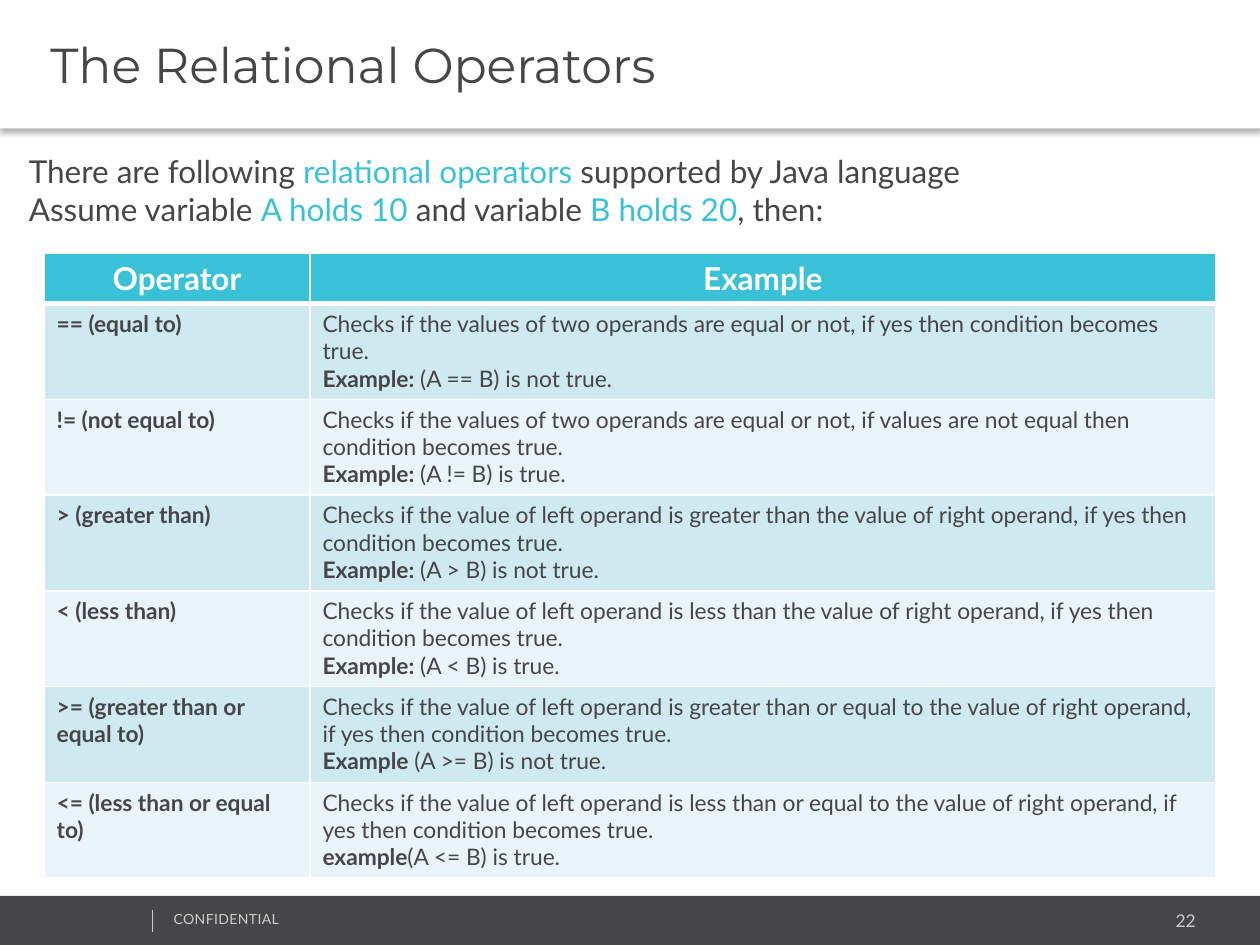
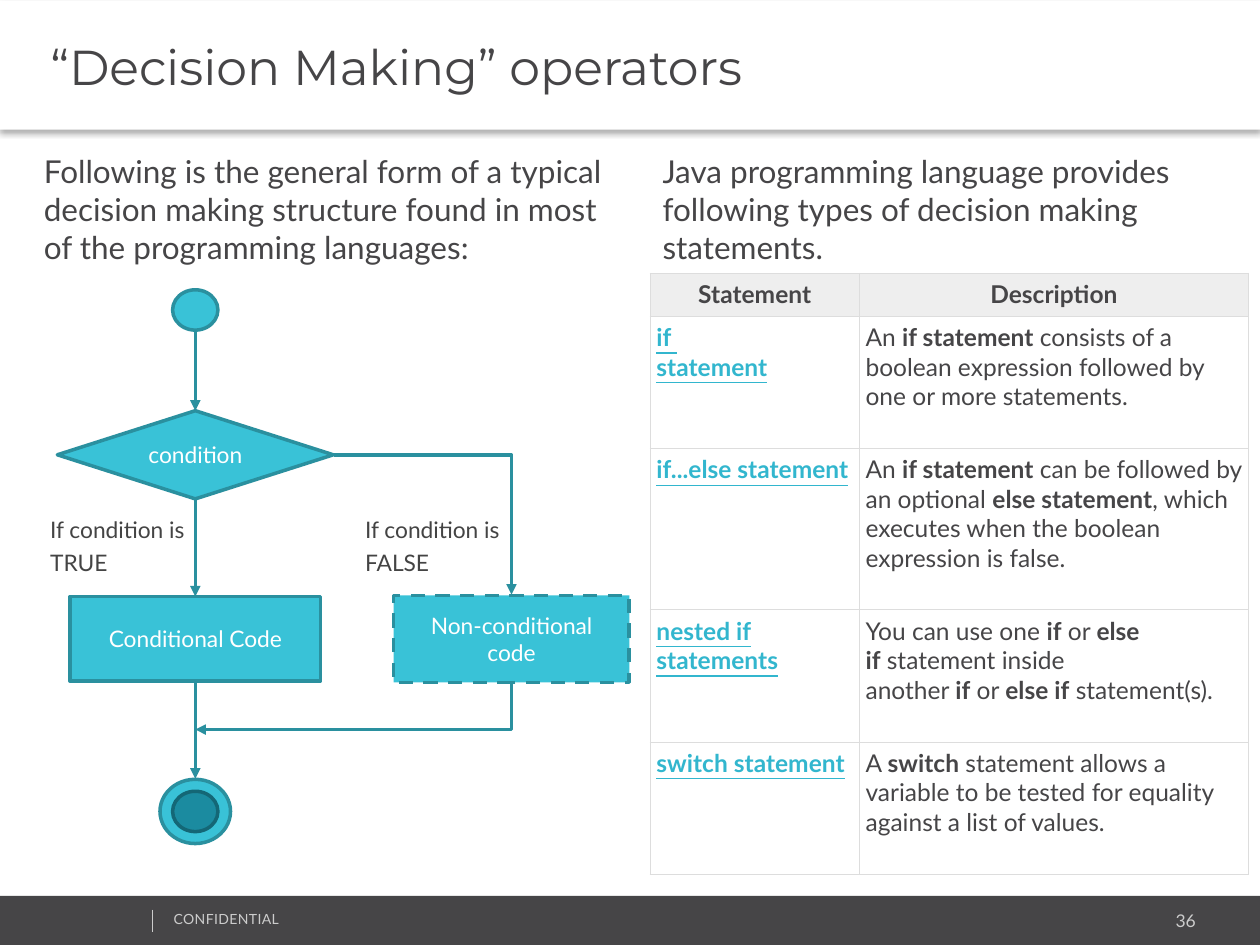
from collections import namedtuple

from lxml import etree
from pptx import Presentation
from pptx.dml.color import RGBColor
from pptx.enum import dml, shapes, text
from pptx.oxml import ns
from pptx.util import Emu, Inches, Pt

DARK = RGBColor(0x46, 0x45, 0x47)
LABEL = RGBColor(0x44, 0x44, 0x44)
WHITE = RGBColor(0xFF, 0xFF, 0xFF)
FOOTER = RGBColor(0xCC, 0xCC, 0xCC)
TEAL = RGBColor(0x39, 0xC2, 0xD7)
TEAL_EDGE = RGBColor(0x2A, 0x90, 0x9F)
TEAL_DEEP = RGBColor(0x1B, 0x8B, 0xA0)
TEAL_DEEP_EDGE = RGBColor(0x14, 0x67, 0x76)
LINK = RGBColor(0x32, 0xB6, 0xCE)
BANDS = (RGBColor(0xCE, 0xE9, 0xF0), RGBColor(0xE8, 0xF4, 0xF8))
HEAD_GREY = RGBColor(0xEE, 0xEE, 0xEE)
GRID_GREY = RGBColor(0xDD, 0xDD, 0xDD)

SHAPE = shapes.MSO_SHAPE
ALIGN = text.PP_ALIGN
ANCHOR = text.MSO_ANCHOR
NBSP = chr(160)

Box = namedtuple("Box", "left top width height")

# Cells: "*" switches marked text on and off, "~" is a no-break space.
OPERATORS = [
    ("== (equal to)",
     "Checks if the values of two operands are equal or not, if yes then condition becomes true.\n"
     "*Example:*~(A == B) is not true."),
    ("!= (not equal to)",
     "Checks if the values of two operands are equal or not, if values are not equal then "
     "condition becomes true.\n*Example:*~(A != B) is true."),
    ("> (greater than)",
     "Checks if the value of left operand is greater than the value of right operand, if yes "
     "then condition becomes true.\n*Example:*~(A > B) is not true."),
    ("< (less than)",
     "Checks if the value of left operand is less than the value of right operand, if yes then "
     "condition becomes true.\n*Example:*~(A < B) is true."),
    (">= (greater than or equal to)",
     "Checks if the value of left operand is greater than or equal to the value of right "
     "operand, if yes then condition becomes true.\n*Example*~(A >= B) is not true."),
    ("<= (less than or equal to)",
     "Checks if the value of left operand is less than or equal to the value of right operand, "
     "if yes then condition becomes true.\n*example*(A <= B) is true."),
]
STATEMENTS = [
    ("if \nstatement",
     "An~*if statement*~consists of a boolean expression followed by one or more statements."),
    ("if...else statement",
     "An~*if statement*~can be followed by an optional~*else statement*, which executes when "
     "the boolean expression is false."),
    ("nested if statements",
     "You can use one~*if*~or~*else if*~statement inside another~*if*~or~*else if*"
     "~statement(s)."),
    ("switch statement",
     "A~*switch*~statement allows a variable to be tested for equality against a list of "
     "values."),
]


def write(frame, content, size, color=DARK, font="Lato", bold=False, underline=False,
          align=ALIGN.LEFT, spacing=None, tracking=None, mark_color=None):
    """Fill a text frame; marked text is bold, or coloured if mark_color is given."""
    frame.word_wrap = True
    for number, line in enumerate(content.replace("~", NBSP).split("\n")):
        paragraph = frame.add_paragraph() if number else frame.paragraphs[0]
        paragraph.alignment = align
        if spacing:
            paragraph.line_spacing = spacing
        for position, piece in enumerate(line.split("*")):
            if not piece:
                continue
            marked = position % 2 == 1
            run = paragraph.add_run()
            run.text = piece
            run.font.name = font
            run.font.size = Pt(size)
            run.font.bold = bold or (marked and mark_color is None)
            run.font.underline = underline
            run.font.color.rgb = mark_color if marked and mark_color else color
            if tracking:
                run.font._element.set("spc", str(tracking))


def add_label(slide, box, content, size, **style):
    label = slide.shapes.add_textbox(*map(Inches, box))
    write(label.text_frame, content, size, **style)


def add_block(slide, kind, box, fill, edge=None):
    block = slide.shapes.add_shape(kind, *map(Inches, box))
    block.shadow.inherit = False
    block.fill.solid()
    block.fill.fore_color.rgb = fill
    if edge is None:
        block.line.fill.background()
    else:
        block.line.color.rgb = edge
        block.line.width = Pt(2)
    return block


def add_line(slide, start, end, color, width, arrow=False, kind=shapes.MSO_CONNECTOR.STRAIGHT):
    line = slide.shapes.add_connector(kind, *map(Inches, start + end))
    line.line.color.rgb = color
    line.line.width = Pt(width)
    if arrow:
        etree.SubElement(line.line._get_or_add_ln(), ns.qn("a:tailEnd"), type="triangle")
    etree.SubElement(line._element.spPr, ns.qn("a:effectLst"))
    return line


def add_elbow(slide, start, end, rotation=0):
    elbow = add_line(slide, start, end, TEAL_EDGE, 2, True, shapes.MSO_CONNECTOR.ELBOW)
    properties = elbow._element.spPr
    properties.find(ns.qn("a:prstGeom")).set("prst", "bentConnector2")
    if rotation:
        properties.find(ns.qn("a:xfrm")).set("rot", str(rotation * 60000))


def title_band(slide, box, title):
    band = add_block(slide, SHAPE.RECTANGLE, box, WHITE)
    effects = band._element.spPr.find(ns.qn("a:effectLst"))
    shadow = etree.SubElement(effects, ns.qn("a:outerShdw"), blurRad=str(Pt(3.1)),
                              dist=str(Pt(2)), dir="5400000", algn="t", rotWithShape="0")
    black = etree.SubElement(shadow, ns.qn("a:srgbClr"), val="000000")
    etree.SubElement(black, ns.qn("a:alpha"), val="30000")
    frame = band.text_frame
    frame.margin_left = Inches(0.4)
    frame.vertical_anchor = ANCHOR.MIDDLE
    write(frame, title, 28, font="Montserrat")


def footer_band(slide, box, page):
    add_block(slide, SHAPE.RECTANGLE, box, DARK)
    add_label(slide, (box.left + 7.96, box.top + 0.06, 1.63, 0.27), page, 10,
              color=FOOTER, align=ALIGN.RIGHT)
    add_label(slide, (box.left + 1.28, box.top + 0.07, 2.53, 0.24), "CONFIDENTIAL", 8,
              color=FOOTER, tracking=20)
    rule = box.left + 1.21
    add_line(slide, (rule, box.top + 0.11), (rule, box.top + 0.29), FOOTER, 0.25)


def set_borders(cell, color, width, top=None, bottom=None):
    properties = cell._tc.get_or_add_tcPr()
    widths = {"L": width, "R": width, "T": top or width, "B": bottom or width}
    for place, (side, points) in enumerate(widths.items()):
        border = etree.Element(ns.qn(f"a:ln{side}"), w=str(Pt(points)))
        solid = etree.SubElement(border, ns.qn("a:solidFill"))
        etree.SubElement(solid, ns.qn("a:srgbClr"), val=str(color))
        properties.insert(place, border)


def fill_cell(cell, color):
    if color is None:
        cell.fill.background()
    else:
        cell.fill.solid()
        cell.fill.fore_color.rgb = color


def term_table(slide, box, columns, row_heights, header, rows, header_style, term_style,
               size, header_fill, bands, grid, grid_width, header_rule=None, inset=None):
    """Two columns: a term and its explanation."""
    table = slide.shapes.add_table(len(row_heights), 2, *map(Inches, box)).table
    table.first_row = table.horz_banding = False
    for column, width in zip(table.columns, columns):
        column.width = Inches(width)
    for number, (height, contents) in enumerate(zip(row_heights, [header] + rows)):
        table.rows[number].height = Inches(height)
        styles = (term_style, {}) if number else (header_style, header_style)
        for place, content in enumerate(contents):
            cell = table.cell(number, place)
            if inset:
                cell.margin_left = cell.margin_right = Inches(inset)
            write(cell.text_frame, content, **{"size": size, **styles[place]})
            fill_cell(cell, bands[(number - 1) % len(bands)] if number else header_fill)
            set_borders(cell, grid, grid_width,
                        top=header_rule if number == 1 else None,
                        bottom=header_rule if number == 0 else None)


def flowchart(slide, box):
    """Decision with a true and a false branch that meet again."""
    true_x, false_x = box.left + 1.25, box.left + 3.76
    start_y, decision_y, code_y, end_y = (box.top + y for y in (0.16, 1.31, 2.77, 4.14))
    merge_y = box.top + 3.49

    def node(kind, x, y, width, height, caption="", fill=TEAL, edge=TEAL_EDGE):
        block = add_block(slide, kind, (x - width / 2, y - height / 2, width, height),
                          fill, edge)
        if caption:
            block.text_frame.vertical_anchor = ANCHOR.MIDDLE
            write(block.text_frame, caption, 13, color=WHITE, align=ALIGN.CENTER)
        return block

    # Nodes
    decision = node(SHAPE.FLOWCHART_DECISION, true_x, decision_y, 2.19, 0.7, "condition")
    code = node(SHAPE.RECTANGLE, true_x, code_y, 1.99, 0.67, "Conditional Code")
    other = node(SHAPE.RECTANGLE, false_x, code_y, 1.87, 0.69, "Non-conditional code")
    other.line.dash_style = dml.MSO_LINE.DASH
    node(SHAPE.OVAL, true_x, start_y, 0.36, 0.32)
    node(SHAPE.OVAL, true_x, end_y, 0.56, 0.51)
    node(SHAPE.OVAL, true_x, end_y, 0.36, 0.32, fill=TEAL_DEEP, edge=TEAL_DEEP_EDGE)

    # Straight arrows down the true branch
    stops = [(start_y + 0.16, None, decision_y - 0.35, decision),
             (decision_y + 0.35, decision, code_y - 0.33, code),
             (code_y + 0.33, code, end_y - 0.26, None)]
    for begin_y, source, finish_y, target in stops:
        arrow = add_line(slide, (true_x, begin_y), (true_x, finish_y), TEAL_EDGE, 2, True)
        if source:
            arrow.begin_connect(source, 2)
        if target:
            arrow.end_connect(target, 0)

    # False branch: out to the right, then back to the true branch
    add_elbow(slide, (true_x + 1.1, decision_y), (false_x, code_y - 0.35))
    other_bottom = code_y + 0.34
    middle_x, middle_y = (true_x + false_x) / 2, (other_bottom + merge_y) / 2
    half_drop, half_run = (merge_y - other_bottom) / 2, (false_x - true_x) / 2
    add_elbow(slide, (middle_x - half_drop, middle_y - half_run),
              (middle_x + half_drop, middle_y + half_run), rotation=90)

    # Branch labels
    for offset, outcome in ((0, "TRUE"), (2.5, "FALSE")):
        add_label(slide, (box.left + offset, box.top + 1.7, 1.5, 0.63),
                  f"If condition is {outcome}", 13, color=LABEL, spacing=1.2)


def new_slide(deck, title, page, title_top=0):
    slide = deck.slides.add_slide(deck.slide_layouts[6])
    footer_band(slide, Box(0, 7.11, 10, 0.4), page)
    title_band(slide, Box(0, title_top, 10, 1.02), title)
    return slide


def operators_slide(deck):
    slide = new_slide(deck, "The Relational Operators", "22")
    add_label(slide, (0.13, 1.16, 9.75, 0.71),
              "There are following *relational operators *supported by Java language\n"
              "Assume variable *A holds 10 *and variable *B holds 20*, then:",
              18, mark_color=TEAL)
    term_table(slide, Box(0.35, 2.01, 9.3, 4.97), (2.11, 7.19), [0.38] + [0.76] * 6,
               ("Operator", "Example"), OPERATORS,
               dict(size=18, color=WHITE, bold=True, align=ALIGN.CENTER), dict(bold=True),
               13, TEAL, BANDS, WHITE, 1, header_rule=3)


def decisions_slide(deck):
    slide = new_slide(deck, "“Decision Making” operators", "36", title_top=0.01)
    flowchart(slide, Box(0.3, 2.3, 4.7, 4.39))
    add_label(slide, (0.25, 1.16, 4.66, 1.01),
              "Following is the general form of a typical decision making structure found in "
              "most of the programming languages:", 18)
    add_label(slide, (5.16, 1.16, 4.75, 1.01),
              "Java programming language provides following types of decision making "
              "statements.", 18)
    term_table(slide, Box(5.16, 2.17, 4.75, 4.76), (1.66, 3.09),
               [0.34, 1.05, 1.28, 1.05, 1.05], ("Statement", "Description"), STATEMENTS,
               dict(bold=True, align=ALIGN.CENTER),
               dict(color=LINK, bold=True, underline=True),
               14, HEAD_GREY, (None,), GRID_GREY, 0.6, inset=0.05)


def main():
    deck = Presentation()
    deck.slide_width, deck.slide_height = Emu(Inches(10)), Emu(Inches(7.5))
    operators_slide(deck)
    decisions_slide(deck)
    deck.save("out.pptx")


if __name__ == "__main__":
    main()
